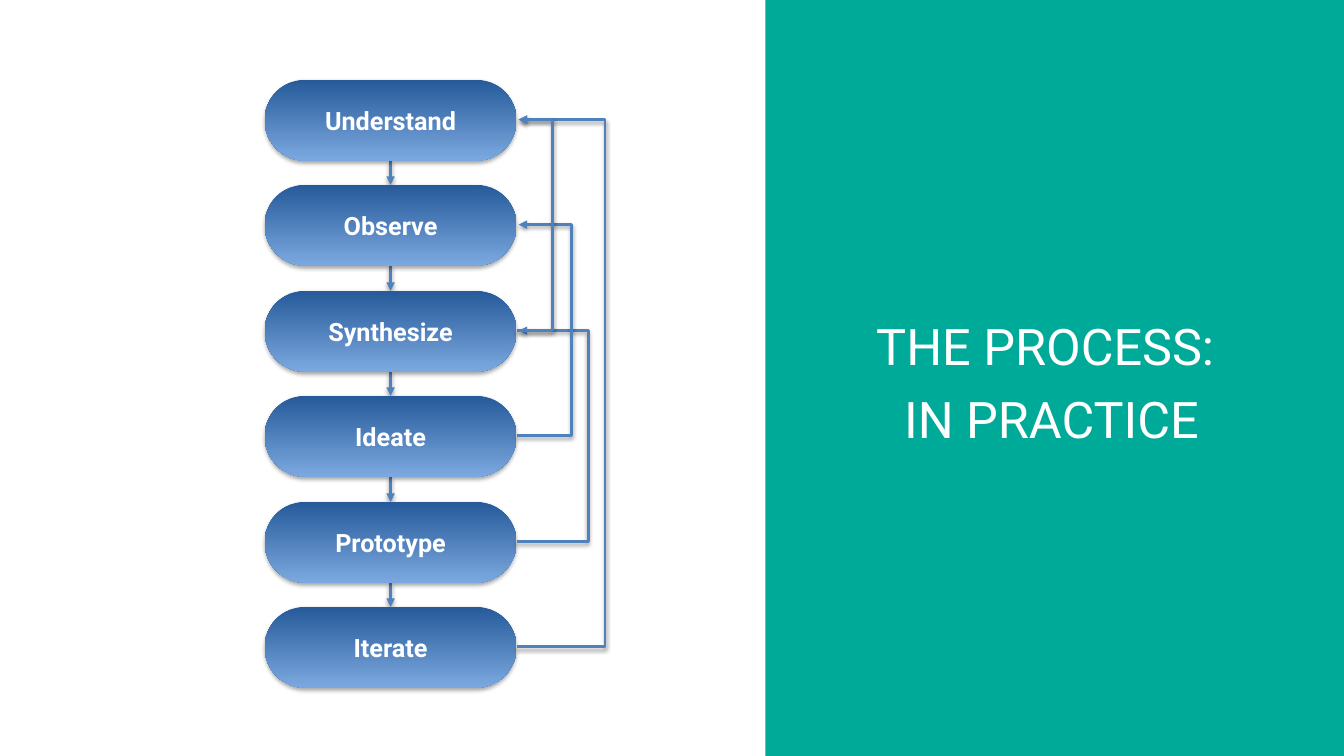
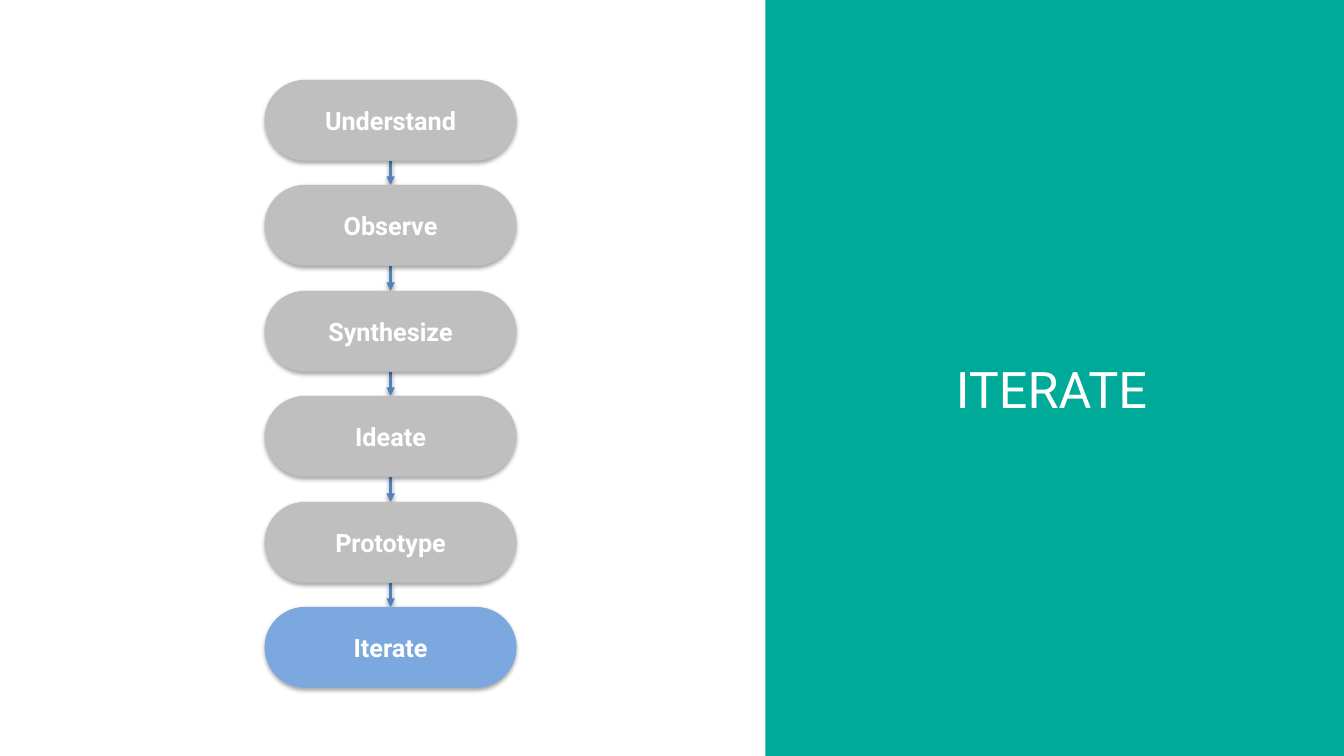
"""Build two slides showing a six-step design process."""

from dataclasses import dataclass

from lxml.etree import SubElement
from pptx import Presentation
from pptx.dml.color import RGBColor
from pptx.enum.shapes import MSO_CONNECTOR, MSO_SHAPE
from pptx.enum.text import MSO_ANCHOR, MSO_AUTO_SIZE, PP_ALIGN
from pptx.oxml.ns import qn
from pptx.shapes.autoshape import Shape
from pptx.shapes.connector import Connector
from pptx.slide import Slide
from pptx.util import Emu, Pt


@dataclass(frozen=True)
class Theme:
    font: str = "Roboto"
    title_size: int = 36
    step_size: int = 18
    line_width: int = 2
    text: RGBColor = RGBColor.from_string("FFFFFF")
    panel: RGBColor = RGBColor.from_string("00AA99")
    line: RGBColor = RGBColor.from_string("4F81BD")
    dark_blue: RGBColor = RGBColor.from_string("265A9A")
    light_blue: RGBColor = RGBColor.from_string("7BA8DF")
    muted: RGBColor = RGBColor.from_string("BFBFBF")


@dataclass(frozen=True)
class Box:
    left: int
    top: int
    width: int
    height: int


@dataclass(frozen=True)
class Shadow:
    distance: int
    alpha: int
    blur: int = 40000


@dataclass(frozen=True)
class Loop:
    source: int
    target: int
    bend: int


@dataclass(frozen=True)
class ProcessSlide:
    title: str
    title_top: int
    title_height: int
    highlight: str | None = None
    loops: tuple[Loop, ...] = ()


THEME = Theme()
PX = 9525
SLIDE_WIDTH, SLIDE_HEIGHT = 1280, 720
PANEL = Box(729, 0, SLIDE_WIDTH - 729, SLIDE_HEIGHT)
TITLE_LEFT, TITLE_WIDTH = 732, 549
STEPS = ("Understand", "Observe", "Synthesize", "Ideate", "Prototype", "Iterate")
STEP_PITCH = 100.4
STEP_BOXES = [Box(252, 76 + round(index * STEP_PITCH), 240, 77) for index in range(len(STEPS))]
LOOP_TIP_GAP = 2
STEP_SHADOW = Shadow(23000, 35000)
LINE_SHADOW = Shadow(20000, 38000)
SLIDES = (
    ProcessSlide(
        "THE PROCESS: \nIN PRACTICE", 284, 151,
        loops=(Loop(5, 0, 576), Loop(4, 2, 560), Loop(3, 1, 544), Loop(2, 0, 526)),
    ),
    ProcessSlide("ITERATE", 325, 69, highlight="Iterate"),
)


def px(length: int) -> Emu:
    return Emu(length * PX)


def place(shape: Shape, box: Box) -> None:
    shape.left, shape.top = px(box.left), px(box.top)
    shape.width, shape.height = px(box.width), px(box.height)


def add_plain_shape(slide: Slide, kind: MSO_SHAPE, box: Box) -> Shape:
    shape = slide.shapes.add_shape(kind, 0, 0, 0, 0)
    place(shape, box)
    shape.line.fill.background()
    shape.shadow.inherit = False
    return shape


def add_shadow(effects, shadow: Shadow) -> None:
    outer = SubElement(
        effects, qn("a:outerShdw"), blurRad=str(shadow.blur), dist=str(shadow.distance),
        dir="5400000", rotWithShape="0",
    )
    color = SubElement(outer, qn("a:srgbClr"), val="000000")
    SubElement(color, qn("a:alpha"), val=str(shadow.alpha))


def format_text(shape: Shape, size: int, bold: bool, spacing: float) -> None:
    for paragraph in shape.text_frame.paragraphs:
        paragraph.alignment = PP_ALIGN.CENTER
        paragraph.line_spacing = spacing
        paragraph.font.name = THEME.font
        paragraph.font.size = Pt(size)
        paragraph.font.bold = bold
        paragraph.font.color.rgb = THEME.text


def add_title_panel(slide: Slide, content: ProcessSlide) -> None:
    panel = add_plain_shape(slide, MSO_SHAPE.RECTANGLE, PANEL)
    panel.fill.solid()
    panel.fill.fore_color.rgb = THEME.panel
    title = slide.shapes.title
    title._element.addprevious(panel._element)
    place(title, Box(TITLE_LEFT, content.title_top, TITLE_WIDTH, content.title_height))
    frame = title.text_frame
    frame.text = content.title
    frame.word_wrap = True
    frame.auto_size = MSO_AUTO_SIZE.NONE
    frame.vertical_anchor = MSO_ANCHOR.TOP
    frame.margin_left, frame.margin_right = 0, px(10)
    frame.margin_top = frame.margin_bottom = px(5)
    format_text(title, THEME.title_size, False, 1.2)


def add_step(slide: Slide, label: str, box: Box, highlight: str | None) -> None:
    shape = add_plain_shape(slide, MSO_SHAPE.ROUNDED_RECTANGLE, box)
    shape.adjustments[0] = 0.5
    if highlight is None:
        shape.fill.gradient()
        shape.fill.gradient_angle = 270
        colors = (THEME.dark_blue, THEME.light_blue)
        for position, (stop, color) in enumerate(zip(shape.fill.gradient_stops, colors)):
            stop.position = position
            stop.color.rgb = color
    else:
        shape.fill.solid()
        shape.fill.fore_color.rgb = THEME.light_blue if label == highlight else THEME.muted
    add_shadow(shape._element.spPr.find(qn("a:effectLst")), STEP_SHADOW)
    shape.text_frame.text = label
    shape.text_frame.vertical_anchor = MSO_ANCHOR.MIDDLE
    format_text(shape, THEME.step_size, True, 1.0)


def add_arrow(
    slide: Slide, kind: MSO_CONNECTOR, start: tuple[int, int], end: tuple[int, int]
) -> Connector:
    arrow = slide.shapes.add_connector(kind, *map(px, start + end))
    arrow.line.color.rgb = THEME.line
    arrow.line.width = Pt(THEME.line_width)
    properties = arrow._element.spPr
    SubElement(properties.find(qn("a:ln")), qn("a:tailEnd"), type="triangle")
    add_shadow(SubElement(properties, qn("a:effectLst")), LINE_SHADOW)
    return arrow


def add_loop(slide: Slide, loop: Loop) -> None:
    source, target = STEP_BOXES[loop.source], STEP_BOXES[loop.target]
    right = source.left + source.width
    arrow = add_arrow(
        slide, MSO_CONNECTOR.ELBOW,
        (right, source.top + source.height // 2),
        (right + LOOP_TIP_GAP, target.top + target.height // 2),
    )
    geometry = arrow._element.spPr.find(qn("a:prstGeom"))
    guides = geometry.find(qn("a:avLst"))
    if guides is None:
        guides = SubElement(geometry, qn("a:avLst"))
    bend = (loop.bend - right) * 100000 // LOOP_TIP_GAP
    SubElement(guides, qn("a:gd"), name="adj1", fmla=f"val {bend}")


def add_process_slide(presentation: Presentation, content: ProcessSlide) -> None:
    slide = presentation.slides.add_slide(presentation.slide_layouts.get_by_name("Title Only"))
    add_title_panel(slide, content)
    for upper, lower in zip(STEP_BOXES, STEP_BOXES[1:]):
        center = upper.left + upper.width // 2
        start, end = (center, upper.top + upper.height), (center, lower.top)
        add_arrow(slide, MSO_CONNECTOR.STRAIGHT, start, end)
    for label, box in zip(STEPS, STEP_BOXES):
        add_step(slide, label, box, content.highlight)
    for loop in content.loops:
        add_loop(slide, loop)


def main() -> None:
    presentation = Presentation()
    presentation.slide_width, presentation.slide_height = px(SLIDE_WIDTH), px(SLIDE_HEIGHT)
    for content in SLIDES:
        add_process_slide(presentation, content)
    presentation.save("out.pptx")


if __name__ == "__main__":
    main()
